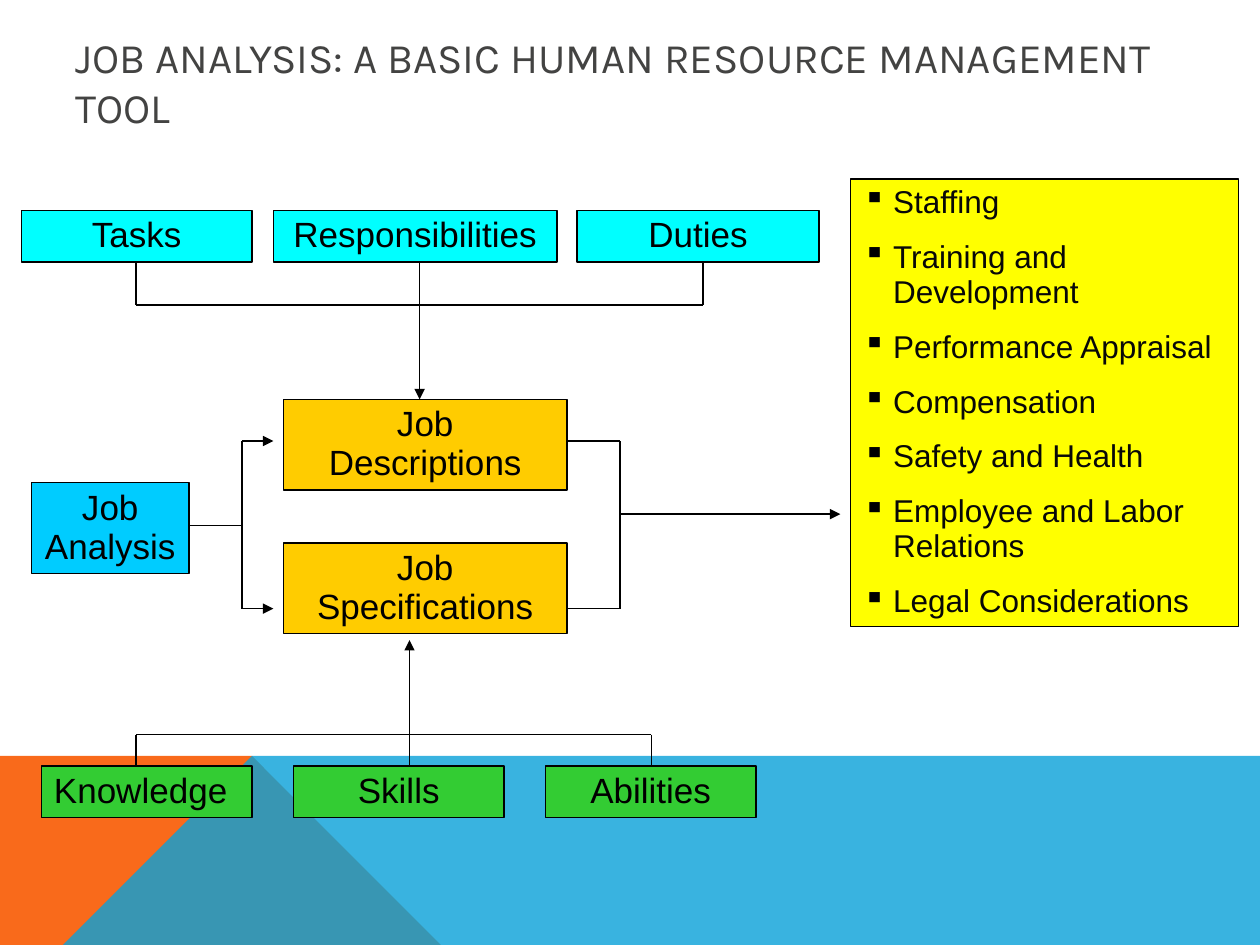
from pptx import Presentation
from pptx import util as u
from pptx.dml.color import RGBColor
from pptx.enum import shapes, text
from pptx.oxml.ns import qn
from lxml import etree

THEME = {
    "orange": "F96A1B", "blue": "08A1D9", "title": "434342", "ink": "000000",
    "list_ink": "080808", "cyan": "00FFFF", "sky": "00CCFF", "gold": "FFCC00",
    "green": "33CC33", "yellow": "FFFF00",
    "title_font": "Karla", "body_font": "Arial",
    "title_size": 24, "box_size": 20, "list_size": 18, "line": 0.75,
}


def color(name):
    return RGBColor.from_string(THEME[name])


def add_box(x, y, w, h, fill, lines, size="box_size", ink="ink", align=text.PP_ALIGN.CENTER):
    sp = s.shapes.add_shape(shapes.MSO_SHAPE.RECTANGLE, *map(u.Inches, (x, y, w, h)))
    sp.shadow.inherit = False
    sp.fill.solid()
    sp.fill.fore_color.rgb = color(fill)
    sp.line.color.rgb = color("ink")
    sp.line.width = u.Pt(THEME["line"])
    tf = sp.text_frame
    tf.word_wrap = True
    tf.auto_size = text.MSO_AUTO_SIZE.SHAPE_TO_FIT_TEXT
    tf.vertical_anchor = text.MSO_ANCHOR.TOP
    tf.text = "\n".join(lines)
    for p in tf.paragraphs:
        p.alignment = align
        p.line_spacing = 0.93
        p.space_before = u.Pt(THEME[size] * 0.625)
        p.font.size = u.Pt(THEME[size])
        p.font.name = THEME["body_font"]
        p.font.color.rgb = color(ink)
    return sp


prs = Presentation()
prs.slide_width, prs.slide_height = u.Inches(10), u.Inches(7.5)
s = prs.slides.add_slide(prs.slide_layouts[6])

for fill, points in [
    ("orange", [(0, 7.5), (0, 5.52), (2.23, 5.52), (3.91, 7.5)]),
    ("blue", [(0, 7.5), (2.23, 5.52), (10, 5.52), (10, 7.5)]),
]:
    builder = s.shapes.build_freeform(*points[0], scale=u.Inches(1))
    builder.add_line_segments(points[1:], close=True)
    sp = builder.convert_to_shape()
    sp.shadow.inherit = False
    sp.fill.solid()
    sp.fill.fore_color.rgb = color(fill)
    sp.line.fill.background()
    if fill == "blue":
        rgb = sp.fill._xPr.find(".//" + qn("a:srgbClr"))
        etree.SubElement(rgb, qn("a:alpha"), val="80000")

tf = s.shapes.add_textbox(*map(u.Inches, (0.5, 0.3, 9, 0.7))).text_frame
tf.word_wrap = True
tf.vertical_anchor = text.MSO_ANCHOR.MIDDLE
tf.text = "JOB ANALYSIS: A BASIC HUMAN RESOURCE MANAGEMENT TOOL"
r = tf.paragraphs[0].runs[0]
r.font.size = u.Pt(THEME["title_size"])
r.font.name = THEME["title_font"]
r.font.color.rgb = color("title")

for x, w, label in [(0.17, 1.83, "Tasks"), (2.17, 2.25, "Responsibilities"), (4.58, 1.92, "Duties")]:
    add_box(x, 1.67, w, 0.41, "cyan", [label])

add_box(0.25, 3.83, 1.25, 0.72, "sky", ["Job Analysis"])
for y, label in [(3.17, "Job Descriptions"), (4.31, "Job Specifications")]:
    add_box(2.25, y, 2.25, 0.72, "gold", [label])

for i, label in enumerate(["Knowledge", "Skills", "Abilities"]):
    align = text.PP_ALIGN.CENTER if i else text.PP_ALIGN.LEFT
    add_box(0.33 + 2 * i, 6.08, 1.67, 0.41, "green", [label], align=align)

uses = add_box(6.75, 1.42, 3.08, 3.55, "yellow", [
    "Staffing", "Training and Development", "Performance Appraisal", "Compensation",
    "Safety and Health", "Employee and Labor Relations", "Legal Considerations",
], "list_size", "list_ink", text.PP_ALIGN.LEFT)
for p in uses.text_frame.paragraphs:
    pPr = p._p.get_or_add_pPr()
    indent = u.Inches(0.24)
    pPr.set("marL", str(indent))
    pPr.set("indent", str(-indent))
    bullet_color = etree.Element(qn("a:buClr"))
    etree.SubElement(bullet_color, qn("a:srgbClr"), val=THEME["ink"])
    bullet = etree.Element(qn("a:buChar"), char="▪")
    pPr.find(qn("a:spcBef")).addnext(bullet_color)
    bullet_color.addnext(bullet)

plain_lines = [
    (1.92, 3.5, 1.92, 4.83), (1.5, 4.17, 1.92, 4.17),
    (1.08, 2.42, 5.58, 2.42), (1.08, 2.08, 1.08, 2.42), (5.58, 2.08, 5.58, 2.42),
    (1.08, 5.83, 5.17, 5.83), (1.08, 5.83, 1.08, 6.08), (5.17, 5.83, 5.17, 6.08),
    (4.92, 3.5, 4.92, 4.83), (4.5, 3.5, 4.92, 3.5), (4.5, 4.83, 4.92, 4.83),
]
arrows = [
    (1.92, 3.5, 2.17, 3.5), (1.92, 4.83, 2.17, 4.83), (3.33, 2.08, 3.33, 3.17),
    (3.25, 6.08, 3.25, 5.08), (4.92, 4.08, 6.67, 4.08),
]
for ends in plain_lines + arrows:
    line = s.shapes.add_connector(shapes.MSO_CONNECTOR.STRAIGHT, *map(u.Inches, ends))
    line.line.color.rgb = color("ink")
    line.line.width = u.Pt(THEME["line"])
    if ends in arrows:
        etree.SubElement(line.line._get_or_add_ln(), qn("a:tailEnd"), type="triangle")
    etree.SubElement(line._element.spPr, qn("a:effectLst"))

prs.save("out.pptx")
